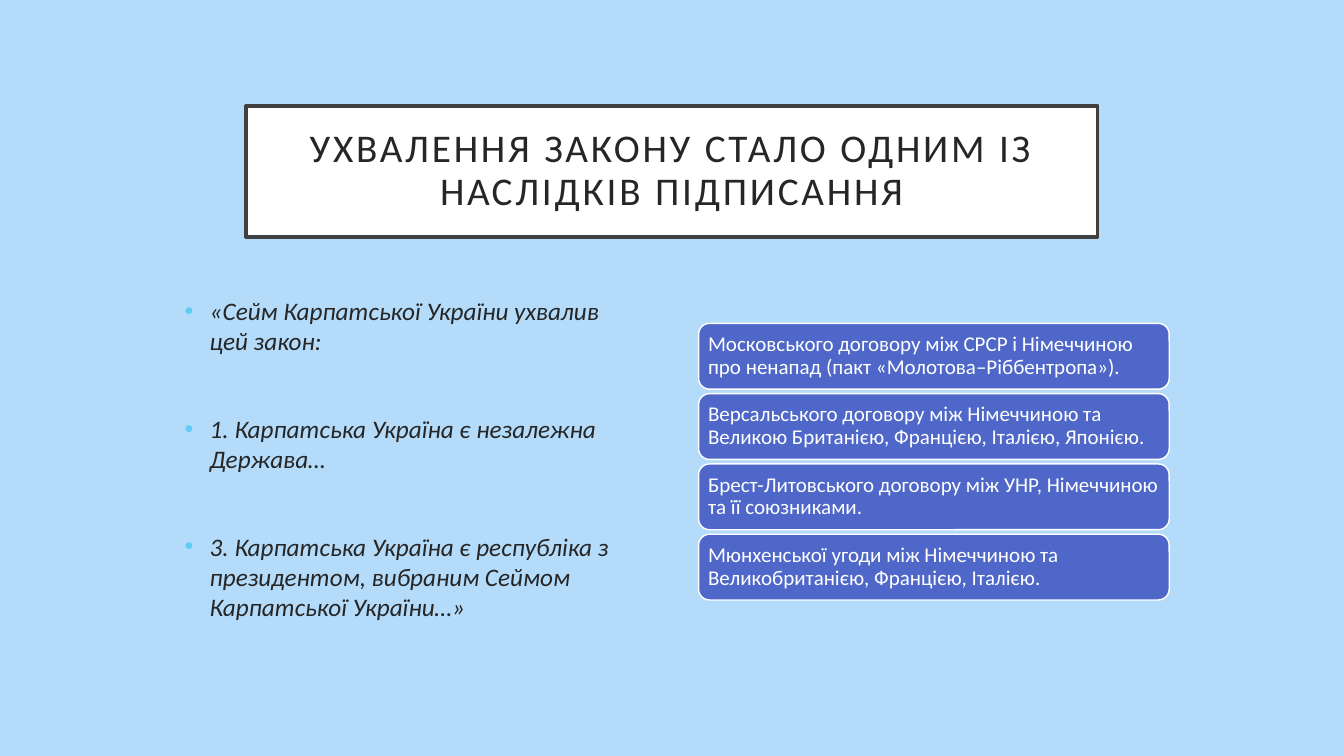
from lxml import etree
from pptx import Presentation
from pptx.dml.color import RGBColor
from pptx.enum.shapes import MSO_SHAPE
from pptx.enum.text import MSO_ANCHOR, MSO_AUTO_SIZE, PP_ALIGN
from pptx.oxml.ns import qn
from pptx.util import Pt

SKY = RGBColor(0xB4, 0xDC, 0xFA)
WHITE = RGBColor(0xFF, 0xFF, 0xFF)
INK = RGBColor(0x26, 0x26, 0x26)
FRAME = RGBColor(0x40, 0x40, 0x40)
BULLET = RGBColor(0x5E, 0xCC, 0xF3)
INDIGO = RGBColor(0x4E, 0x67, 0xC8)
FONT = "Calibri"

TITLE = "УХВАЛЕННЯ ЗАКОНУ СТАЛО ОДНИМ ІЗ НАСЛІДКІВ ПІДПИСАННЯ"
LAW = [
    "«Сейм Карпатської України ухвалив цей закон:",
    "1. Карпатська Україна є незалежна Держава…",
    "3. Карпатська Україна є республіка з президентом, вибраним Сеймом Карпатської України…»",
]
TREATIES = [
    "Московського договору між СРСР і Німеччиною про ненапад (пакт «Молотова–Ріббентропа»).",
    "Версальського договору між Німеччиною та Великою Британією, Францією, Італією, Японією.",
    "Брест-Литовського договору між УНР, Німеччиною та її союзниками.",
    "Мюнхенської угоди між Німеччиною та Великобританією, Францією, Італією.",
]


def place(sp, left, top, width, height):
    sp.left, sp.top, sp.width, sp.height = Pt(left), Pt(top), Pt(width), Pt(height)


def setup_frame(tf, anchor, inset_x, inset_y):
    tf.word_wrap = True
    tf.auto_size = MSO_AUTO_SIZE.NONE
    tf.vertical_anchor = anchor
    tf.margin_left = tf.margin_right = Pt(inset_x)
    tf.margin_top = tf.margin_bottom = Pt(inset_y)


def add_text(p, text, size, color, italic=False):
    r = p.add_run()
    r.text = text
    r.font.name = FONT
    r.font.size = Pt(size)
    r.font.italic = italic
    r.font.color.rgb = color
    return r


def set_bullet(p, color, indent):
    pPr = p._p.get_or_add_pPr()
    pPr.set("marL", str(Pt(indent)))
    pPr.set("indent", str(-Pt(indent)))
    clr = etree.SubElement(pPr, qn("a:buClr"))
    etree.SubElement(clr, qn("a:srgbClr"), val=str(color))
    etree.SubElement(pPr, qn("a:buFont"), typeface="Arial")
    etree.SubElement(pPr, qn("a:buChar"), char="•")


def build_title(sp, left, top, width, height):
    place(sp, left, top, width, height)
    sp.fill.solid()
    sp.fill.fore_color.rgb = WHITE
    sp.line.color.rgb = FRAME
    sp.line.width = Pt(2.5)
    setup_frame(sp.text_frame, MSO_ANCHOR.MIDDLE, 14.4, 14.4)
    p = sp.text_frame.paragraphs[0]
    p.alignment = PP_ALIGN.CENTER
    p.line_spacing = 0.9
    r = add_text(p, TITLE, 28, INK)
    r.font._element.set("spc", "200")


def build_law(sp, left, top, width, height):
    place(sp, left, top, width, height)
    tf = sp.text_frame
    setup_frame(tf, MSO_ANCHOR.TOP, 7.2, 3.6)
    for i, text in enumerate(LAW):
        p = tf.paragraphs[0] if i == 0 else tf.add_paragraph()
        p.line_spacing = 1.0
        p.space_before = Pt(41 if i else 0)
        set_bullet(p, BULLET, 18)
        add_text(p, text, 18, INK, italic=True)


def build_treaties(s, left, top, width, height, gap=3.2):
    card_height = (height - gap * (len(TREATIES) - 1)) / len(TREATIES)
    for i, text in enumerate(TREATIES):
        card_top = top + i * (card_height + gap)
        sp = s.shapes.add_shape(MSO_SHAPE.ROUNDED_RECTANGLE, Pt(left), Pt(card_top),
                                Pt(width), Pt(card_height))
        sp.shadow.inherit = False
        sp.fill.solid()
        sp.fill.fore_color.rgb = INDIGO
        sp.line.color.rgb = WHITE
        sp.line.width = Pt(1)
        setup_frame(sp.text_frame, MSO_ANCHOR.MIDDLE, 4.5, 4.5)
        p = sp.text_frame.paragraphs[0]
        p.alignment = PP_ALIGN.LEFT
        p.line_spacing = 0.9
        add_text(p, text, 15, WHITE)


def main():
    prs = Presentation()
    prs.slide_width, prs.slide_height = Pt(960), Pt(540)
    s = prs.slides.add_slide(prs.slide_layouts[1])
    s.background.fill.solid()
    s.background.fill.fore_color.rgb = SKY

    # Framed title
    build_title(s.shapes.title, 175.7, 75.6, 608.4, 93.6)
    # Law excerpt on the left
    build_law(s.placeholders[1], 124.6, 207.4, 336.2, 244.1)
    # Stack of treaty cards on the right
    build_treaties(s, 499, 231, 336.2, 197.6)

    prs.save("out.pptx")


if __name__ == "__main__":
    main()
